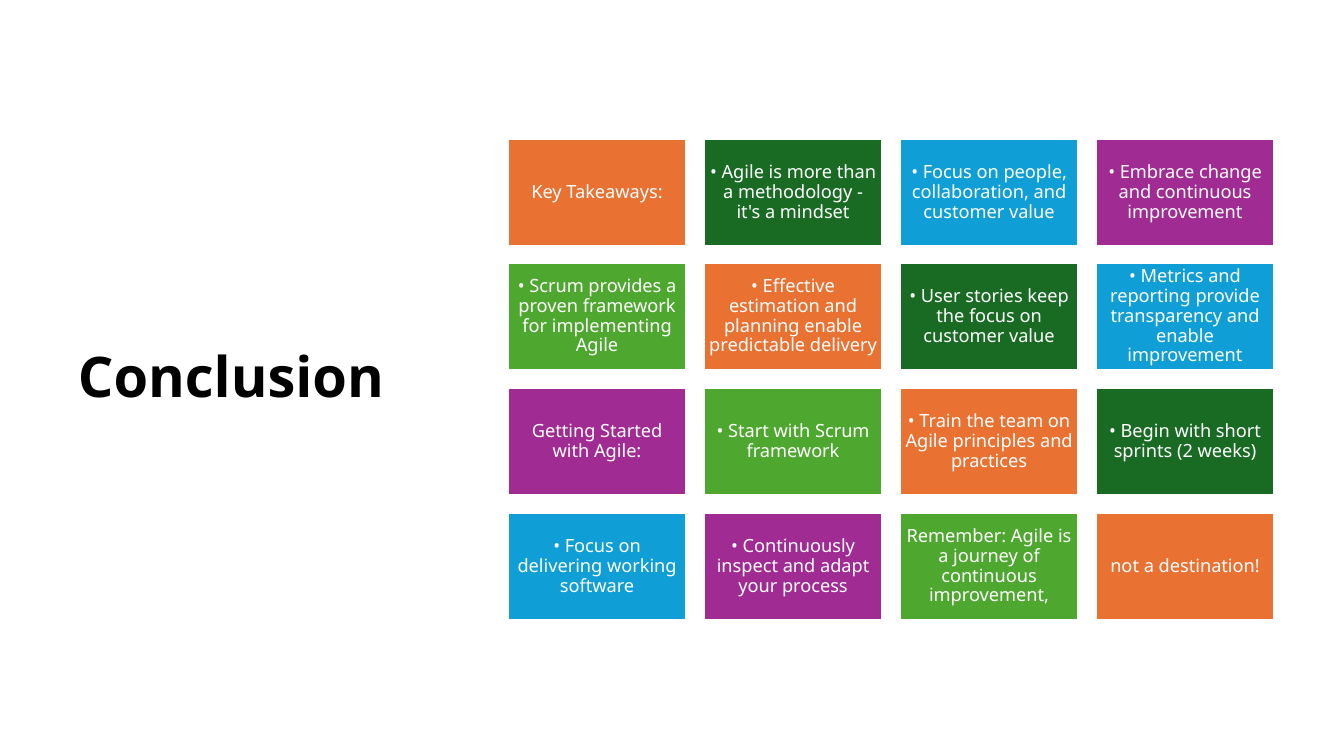
from pptx import Presentation, util as u
from pptx.dml.color import RGBColor
from pptx.enum import shapes, text

HUES = {
    "orange": "E97132",
    "forest": "196B24",
    "blue": "0F9ED5",
    "purple": "A02B93",
    "green": "4EA72E",
    "white": "FFFFFF",
    "black": "000000",
}
CYCLE = ["orange", "forest", "blue", "purple", "green"]
POINTS = [
    "Key Takeaways:",
    "• Agile is more than a methodology - it's a mindset",
    "• Focus on people, collaboration, and customer value",
    "• Embrace change and continuous improvement",
    "• Scrum provides a proven framework for implementing Agile",
    "• Effective estimation and planning enable predictable delivery",
    "• User stories keep the focus on customer value",
    "• Metrics and reporting provide transparency and enable improvement",
    "Getting Started with Agile:",
    "• Start with Scrum framework",
    "• Train the team on Agile principles and practices",
    "• Begin with short sprints (2 weeks)",
    "• Focus on delivering working software",
    "• Continuously inspect and adapt your process",
    "Remember: Agile is a journey of continuous improvement,",
    "not a destination!",
]
COLS = 4
LEFT, TOP = 508, 139
WIDE, HIGH = 178, 107
STEP_X, BAND = 196, 374


def px(*sizes):
    return [u.Emu(round(size * 914400 / 100.8)) for size in sizes]


def write(frame, words, size, hue, align, bold=False):
    frame.word_wrap = True
    frame.vertical_anchor = text.MSO_ANCHOR.MIDDLE
    para = frame.paragraphs[0]
    para.alignment = align
    para.line_spacing = 0.9
    run = para.add_run()
    run.text = words
    run.font.name = "Noto Sans"
    run.font.size = u.Pt(size)
    run.font.bold = bold
    run.font.color.rgb = RGBColor.from_string(HUES[hue])


deck = Presentation()
deck.slide_width, deck.slide_height = px(1344, 756)
slide = deck.slides.add_slide(deck.slide_layouts[6])

title = slide.shapes.add_textbox(*px(68, 60, 385, 638))
write(title.text_frame, "Conclusion", 40, "black", text.PP_ALIGN.LEFT, True)

for i, point in enumerate(POINTS):
    row, col = divmod(i, COLS)
    x = LEFT + col * STEP_X
    y = TOP + row * BAND // 3
    tile = slide.shapes.add_shape(
        shapes.MSO_SHAPE.RECTANGLE, *px(x, y, WIDE, HIGH))
    tile.shadow.inherit = False
    tile.fill.solid()
    tile.fill.fore_color.rgb = RGBColor.from_string(HUES[CYCLE[i % len(CYCLE)]])
    tile.line.color.rgb = RGBColor.from_string(HUES["white"])
    tile.line.width = u.Pt(1.5)
    frame = tile.text_frame
    frame.margin_left, frame.margin_top = px(5, 5)
    frame.margin_right, frame.margin_bottom = px(5, 5)
    write(frame, point, 13, "white", text.PP_ALIGN.CENTER)

deck.save("out.pptx")
